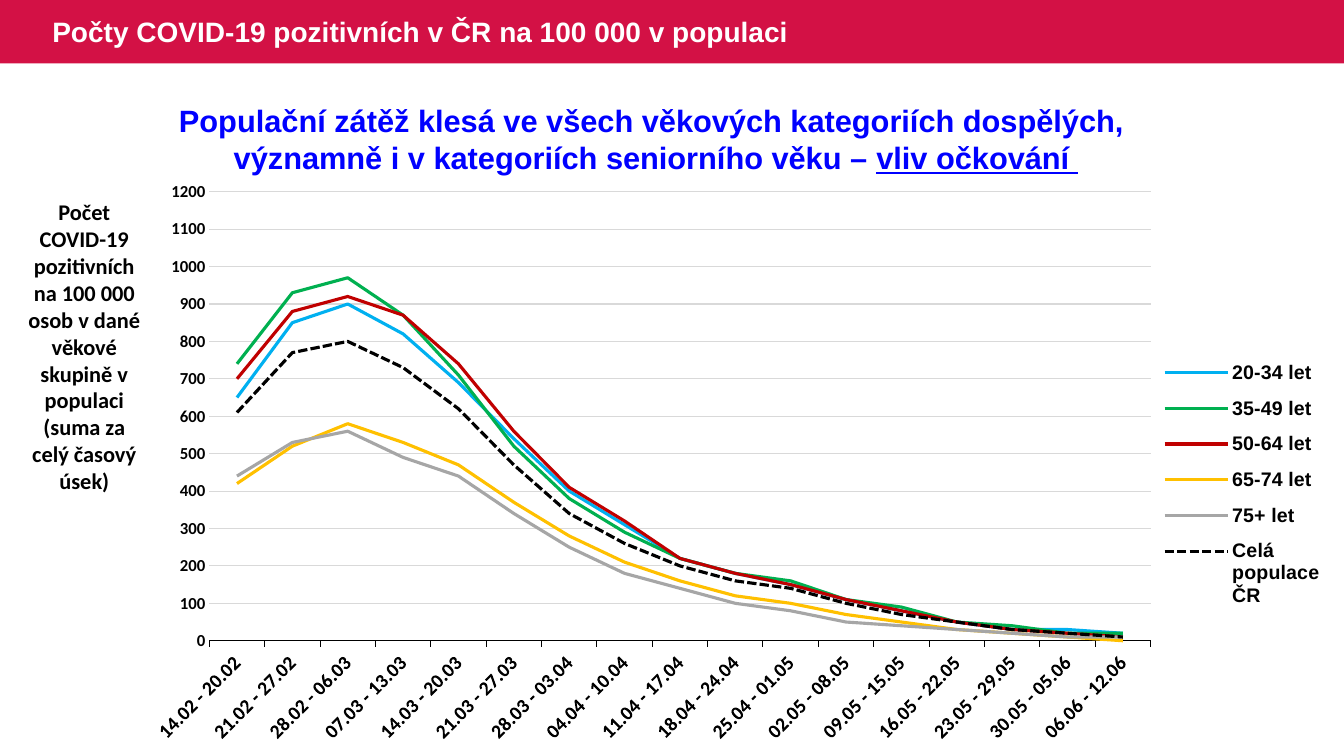
from dataclasses import dataclass

from lxml import etree
from pptx import Presentation
from pptx.chart.data import CategoryChartData
from pptx.dml.color import RGBColor
from pptx.enum.chart import XL_CHART_TYPE, XL_LEGEND_POSITION, XL_TICK_MARK
from pptx.enum.dml import MSO_LINE
from pptx.enum.shapes import MSO_SHAPE
from pptx.enum.text import MSO_ANCHOR, PP_ALIGN
from pptx.oxml.ns import qn
from pptx.util import Inches, Pt

LINE = XL_CHART_TYPE.LINE
RIGHT = XL_LEGEND_POSITION.RIGHT
TICK_NONE, TICK_OUT = XL_TICK_MARK.NONE, XL_TICK_MARK.OUTSIDE
DASH = MSO_LINE.SQUARE_DOT
RECT = MSO_SHAPE.RECTANGLE
TOP, MIDDLE = MSO_ANCHOR.TOP, MSO_ANCHOR.MIDDLE
LEFT, CENTER = PP_ALIGN.LEFT, PP_ALIGN.CENTER
W, H = Inches(13.33), Inches(7.5)


@dataclass(frozen=True)
class Theme:
    head: str = "Arial"
    body: str = "Calibri"
    band: str = "D31145"
    white: str = "FFFFFF"
    ink: str = "000000"
    accent: str = "0000FF"
    grid: str = "D9D9D9"
    title: int = 20
    message: int = 22
    note: int = 16
    label: int = 14
    scale: int = 12
    curve: float = 2.25
    hairline: float = 0.75


T = Theme()

BAND_BOX = (0, 0, 1, 0.084)
MESSAGE_BOX = (0.0225, 0.128, 0.931, 0.112)
NOTE_BOX = (0.0113, 0.256, 0.1028, 0.408)
CHART_BOX = (0.114, 0.2333, 0.8747, 0.7827)

TITLE = "Počty COVID-19 pozitivních v ČR na 100 000 v populaci"
MESSAGE = [
    [("Populační zátěž klesá ve všech věkových kategoriích dospělých, ", False)],
    [("významně i v kategoriích seniorního věku – ", False), ("vliv očkování ", True)],
]
NOTE = ("Počet COVID-19 pozitivních na 100 000 osob v dané věkové skupině "
        "v populaci (suma za celý časový úsek)")
WEEKS = [
    "14.02 - 20.02", "21.02 - 27.02", "28.02 - 06.03", "07.03 - 13.03",
    "14.03 - 20.03", "21.03 - 27.03", "28.03 - 03.04", "04.04 - 10.04",
    "11.04 - 17.04", "18.04 - 24.04", "25.04 - 01.05", "02.05 - 08.05",
    "09.05 - 15.05", "16.05 - 22.05", "23.05 - 29.05", "30.05 - 05.06",
    "06.06 - 12.06",
]
AGE_GROUPS = [
    ("20-34 let", "00B0F0", (650, 850, 900, 820, 690, 540, 400, 310, 220,
                             180, 150, 110, 80, 50, 30, 30, 20)),
    ("35-49 let", "00B050", (740, 930, 970, 870, 710, 520, 380, 290, 220,
                             180, 160, 110, 90, 50, 40, 20, 20)),
    ("50-64 let", "C00000", (700, 880, 920, 870, 740, 560, 410, 320, 220,
                             180, 150, 110, 80, 50, 30, 20, 10)),
    ("65-74 let", "FFC000", (420, 520, 580, 530, 470, 370, 280, 210, 160,
                             120, 100, 70, 50, 30, 20, 10, 0)),
    ("75+ let", "A6A6A6", (440, 530, 560, 490, 440, 340, 250, 180, 140,
                           100, 80, 50, 40, 30, 20, 10, 10)),
    ("Celá populace ČR", T.ink, (610, 770, 800, 730, 620, 470, 340, 260, 200,
                                 160, 140, 100, 70, 50, 30, 20, 10)),
]


def rgb(color):
    return RGBColor.from_string(color)


def place(box):
    x, y, w, h = box
    return int(x * W), int(y * H), int(w * W), int(h * H)


def set_font(font, size, name, color=T.ink):
    for key, value in {"size": Pt(size), "name": name, "bold": True}.items():
        setattr(font, key, value)
    font.color.rgb = rgb(color)


def set_line(line, color, width):
    line.color.rgb = rgb(color)
    line.width = Pt(width)


def add_text(s, box, lines, size, name, color, align=CENTER, anchor=TOP):
    tf = s.shapes.add_textbox(*place(box)).text_frame
    tf.word_wrap = True
    tf.vertical_anchor = anchor
    for i, runs in enumerate(lines):
        p = tf.add_paragraph() if i else tf.paragraphs[0]
        p.alignment = align
        for text, underline in runs:
            r = p.add_run()
            r.text = text
            set_font(r.font, size, name, color)
            if underline:
                r.font.underline = True


def add_title_band(s, box):
    x, y, w, h = box
    band = s.shapes.add_shape(RECT, *place(box))
    band.shadow.inherit = False
    band.fill.solid()
    band.fill.fore_color.rgb = rgb(T.band)
    band.line.fill.background()
    add_text(s, (x + 0.0315 * w, y, 0.628 * w, h), [[(TITLE, False)]],
             T.title, T.head, T.white, LEFT, MIDDLE)


def set_layout(parent, box, inner=False):
    layout = parent.find(qn("c:layout"))
    if layout is None:
        layout = etree.Element(qn("c:layout"))
        before = parent.find(qn("c:legendPos"))
        parent.insert(0 if before is None else parent.index(before) + 1, layout)
    for child in list(layout):
        layout.remove(child)
    manual = etree.SubElement(layout, qn("c:manualLayout"))
    values = [("layoutTarget", "inner")] if inner else []
    values += [("xMode", "edge"), ("yMode", "edge")]
    values += list(zip("xywh", map(str, box)))
    for tag, value in values:
        etree.SubElement(manual, qn(f"c:{tag}")).set("val", value)


def style_axes(chart):
    weeks, counts = chart.category_axis, chart.value_axis
    for axis, size, tick in ((weeks, T.label, TICK_OUT), (counts, T.scale, TICK_NONE)):
        axis.major_tick_mark = tick
        axis.minor_tick_mark = TICK_NONE
        set_font(axis.tick_labels.font, size, T.body)
    weeks.has_major_gridlines = False
    set_line(weeks.format.line, T.ink, T.hairline)
    weeks._element.find(".//" + qn("a:bodyPr")).set("rot", "-2700000")
    for key, value in {"minimum_scale": 0, "maximum_scale": 1200,
                       "major_unit": 100, "has_major_gridlines": True}.items():
        setattr(counts, key, value)
    counts.format.line.fill.background()
    set_line(counts.major_gridlines.format.line, T.grid, T.hairline)


def add_age_chart(s, box):
    data = CategoryChartData(number_format="0")
    data.categories = WEEKS
    for name, _, values in AGE_GROUPS:
        data.add_series(name, values)
    chart = s.shapes.add_chart(LINE, *place(box), data).chart
    chart.has_title = False
    set_font(chart.font, T.label, T.head)
    plot = chart.plots[0]
    plot.vary_by_categories = False
    for series, (_, color, _) in zip(plot.series, AGE_GROUPS):
        series.smooth = False
        set_line(series.format.line, color, T.curve)
    plot.series[-1].format.line.dash_style = DASH
    style_axes(chart)
    chart.has_legend = True
    legend = chart.legend
    legend.position = RIGHT
    legend.include_in_layout = False
    set_font(legend.font, T.label, T.head)
    set_layout(legend._element, (0.856, 0.29, 0.14, 0.46))
    plot_area = chart._chartSpace.find(".//" + qn("c:plotArea"))
    set_layout(plot_area, (0.045, 0.026, 0.803, 0.759), inner=True)


def main():
    prs = Presentation()
    prs.slide_width, prs.slide_height = W, H
    s = prs.slides.add_slide(prs.slide_layouts[6])
    add_title_band(s, BAND_BOX)
    add_age_chart(s, CHART_BOX)
    add_text(s, NOTE_BOX, [[(NOTE, False)]], T.note, T.body, T.ink)
    add_text(s, MESSAGE_BOX, MESSAGE, T.message, T.head, T.accent)
    prs.save("out.pptx")


if __name__ == "__main__":
    main()
